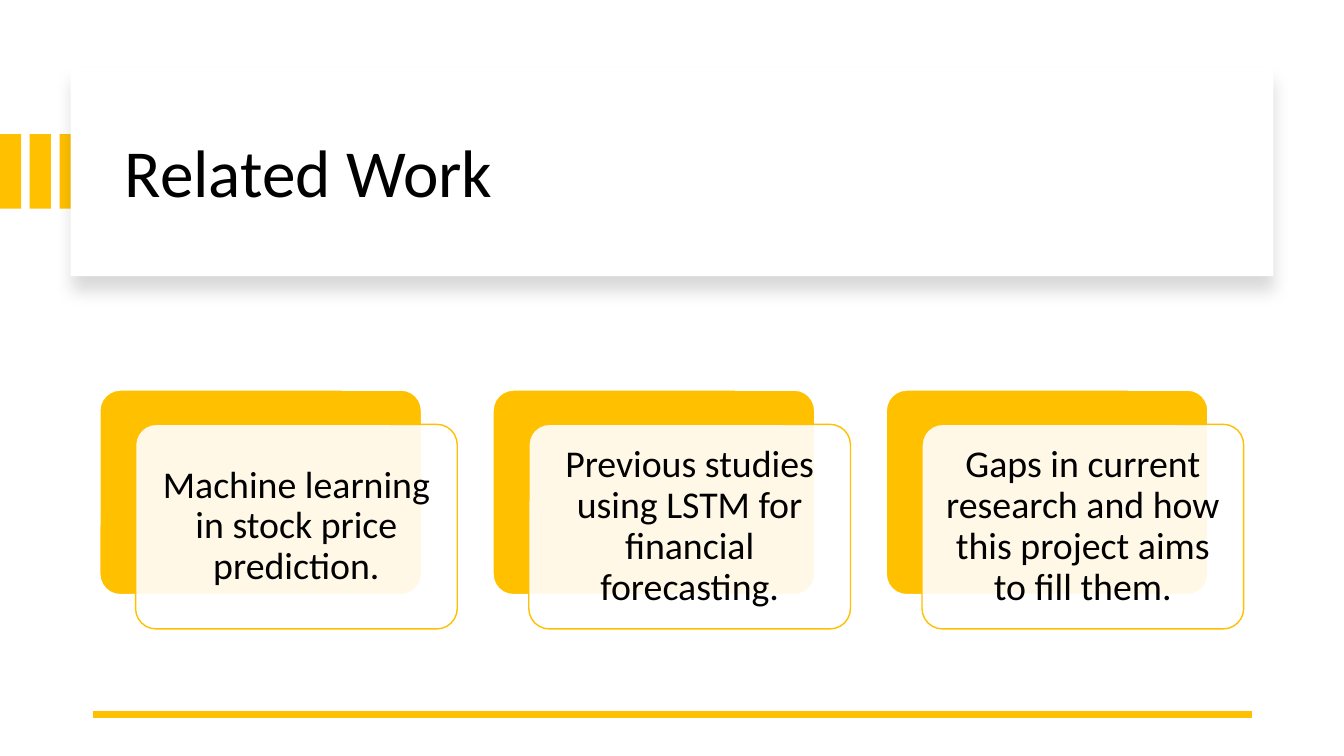
from lxml.etree import SubElement
from pptx import Presentation
from pptx.dml.color import RGBColor
from pptx.enum.shapes import MSO_CONNECTOR, MSO_SHAPE as SHAPE
from pptx.enum.text import MSO_ANCHOR, PP_ALIGN
from pptx.oxml import parse_xml
from pptx.oxml.ns import nsdecls, qn
from pptx.util import Inches, Pt

TITLE = "Related Work"
TOPICS = [
    "Machine learning in stock price prediction.",
    "Previous studies using LSTM for financial forecasting.",
    "Gaps in current research and how this project aims to fill them.",
]

GOLD = RGBColor(0xFF, 0xC0, 0x00)
WHITE = RGBColor(0xFF, 0xFF, 0xFF)
BLACK = RGBColor(0x00, 0x00, 0x00)
FONT = "Calibri"

BAR_COUNT, BAR_PITCH, BAR_TOP, BAR_W, BAR_H = 3, 0.295, 1.33, 0.21, 0.74
PANEL = (0.7, 0.67, 11.93, 2.07)
TITLE_BOX = (1.14, 0.89, 11.13, 1.7)
RULE_LEFT, RULE_RIGHT, RULE_Y = 0.92, 12.42, 7.09
CARD_LEFT, CARD_TOP, CARD_PITCH = 0.99, 3.87, 3.9
CARD_W, CARD_H = 3.19, 2.03
CARD_SHIFT_X, CARD_SHIFT_Y = 0.355, 0.34
CARD_INSET = 0.11

prs = Presentation()
prs.slide_width, prs.slide_height = Inches(13.33), Inches(7.5)
s = prs.slides.add_slide(prs.slide_layouts[6])


def add_block(kind, box, fill, line=None):
    sp = s.shapes.add_shape(kind, *map(Inches, box))
    sp.shadow.inherit = False
    sp.fill.solid()
    sp.fill.fore_color.rgb = fill
    if line is None:
        sp.line.fill.background()
    else:
        sp.line.color.rgb = line
        sp.line.width = Pt(1)
    return sp


def add_card(left, top, fill, line):
    sp = add_block(SHAPE.ROUNDED_RECTANGLE, (left, top, CARD_W, CARD_H), fill, line)
    sp.adjustments[0] = 0.1
    return sp


def write(sp, text, size, align):
    tf = sp.text_frame
    tf.word_wrap = True
    tf.vertical_anchor = MSO_ANCHOR.MIDDLE
    p = tf.paragraphs[0]
    p.alignment = align
    p.line_spacing = 0.9
    r = p.add_run()
    r.text = text
    r.font.name, r.font.size = FONT, Pt(size)
    r.font.color.rgb = BLACK


def add_drop_shadow(sp):
    """Fill the shape's empty effect list with a soft shadow falling downwards."""
    effects = sp.element.spPr.find(qn("a:effectLst"))
    effects.append(parse_xml(
        f'<a:outerShdw {nsdecls("a")} blurRad="{Pt(11)}" dist="{Pt(10)}" dir="5400000" '
        'algn="t" rotWithShape="0"><a:srgbClr val="000000"><a:alpha val="15000"/>'
        '</a:srgbClr></a:outerShdw>'))


# Heading
for i in range(BAR_COUNT):
    add_block(SHAPE.RECTANGLE, (i * BAR_PITCH, BAR_TOP, BAR_W, BAR_H), GOLD)
add_drop_shadow(add_block(SHAPE.RECTANGLE, PANEL, WHITE))
write(s.shapes.add_textbox(*map(Inches, TITLE_BOX)), TITLE, 48, PP_ALIGN.LEFT)

# Bottom rule
rule = s.shapes.add_connector(MSO_CONNECTOR.STRAIGHT, Inches(RULE_RIGHT), Inches(RULE_Y),
                              Inches(RULE_LEFT), Inches(RULE_Y))
rule.line.color.rgb = GOLD
rule.line.width = Pt(4.5)
SubElement(rule.element.spPr, qn("a:effectLst"))

# Topic cards
for i, topic in enumerate(TOPICS):
    left = CARD_LEFT + i * CARD_PITCH
    add_card(left, CARD_TOP, GOLD, WHITE)
    card = add_card(left + CARD_SHIFT_X, CARD_TOP + CARD_SHIFT_Y, WHITE, GOLD)
    colour = card.element.spPr.find(qn("a:solidFill"))[0]
    SubElement(colour, qn("a:alpha"), val="90000")
    tf = card.text_frame
    tf.margin_left = tf.margin_right = Inches(CARD_INSET)
    tf.margin_top = tf.margin_bottom = Inches(CARD_INSET)
    write(card, topic, 27, PP_ALIGN.CENTER)

prs.save("out.pptx")
